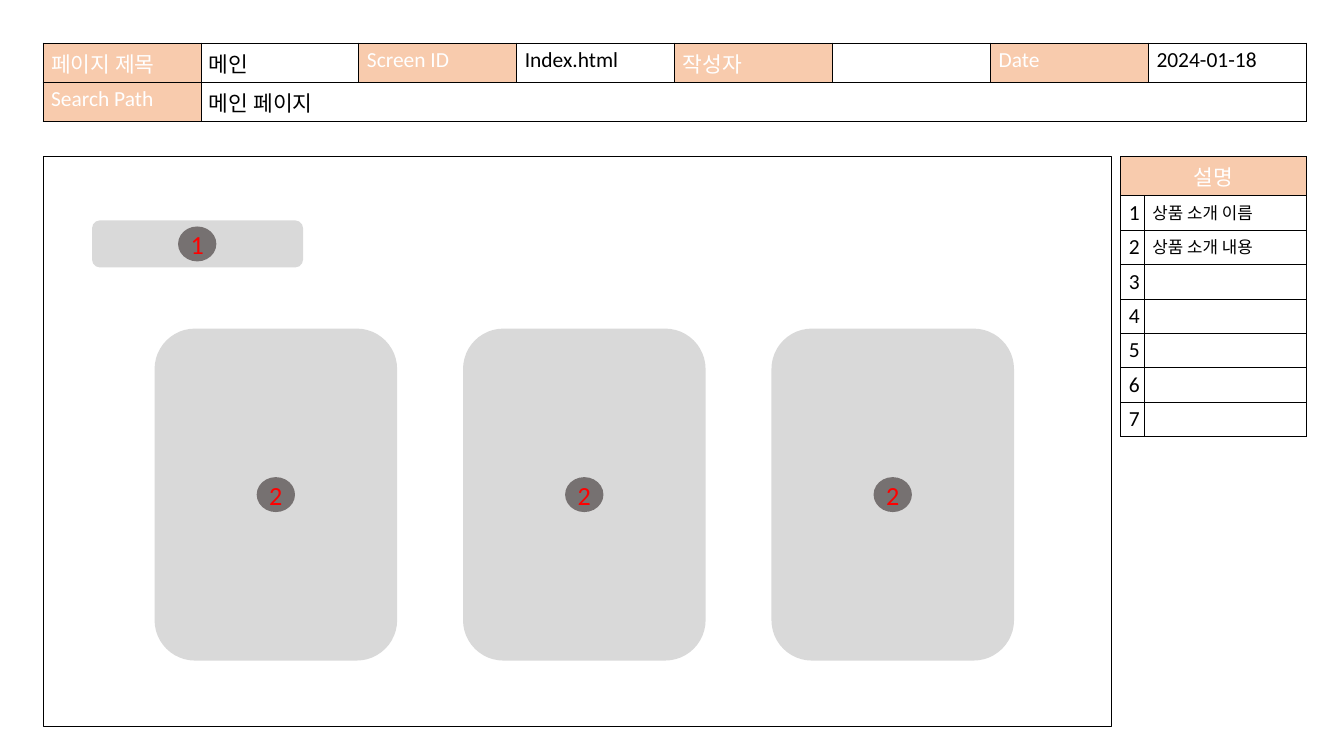
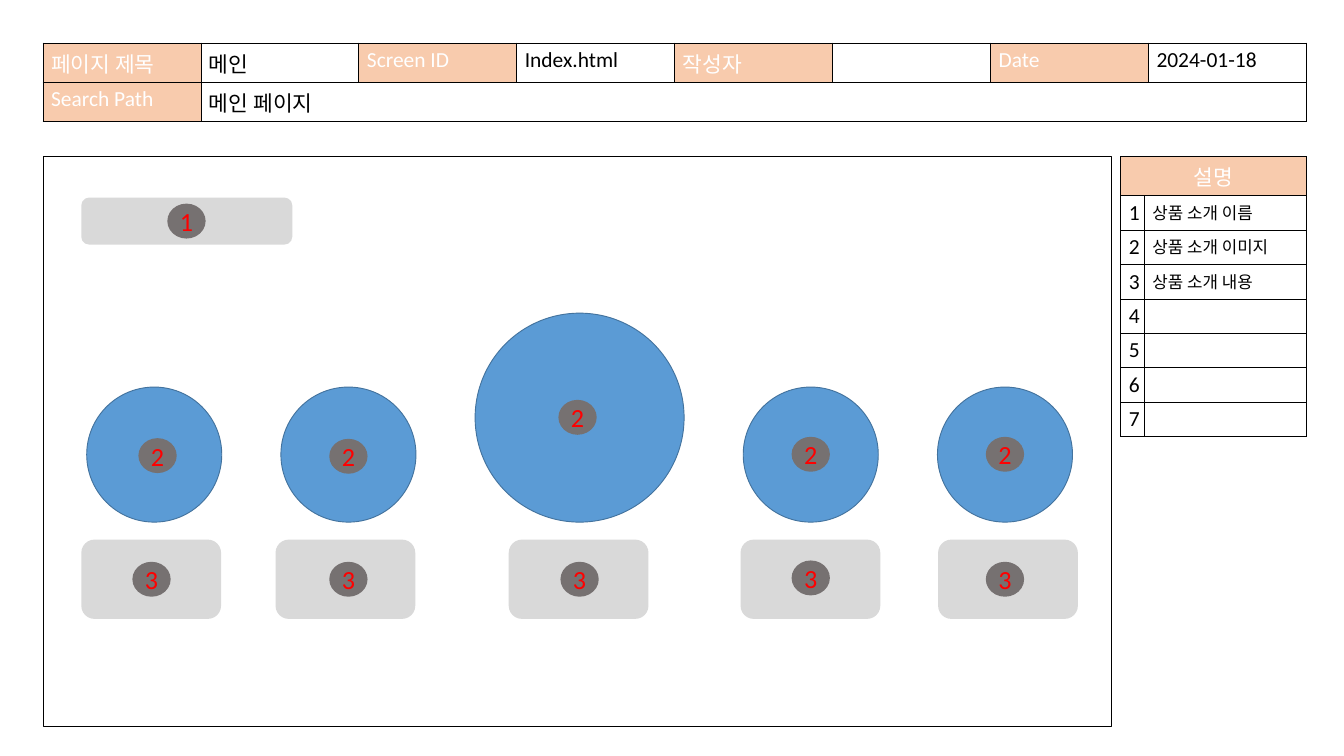
from dataclasses import dataclass

import pptx
import pptx.dml.color
import pptx.enum.shapes
import pptx.enum.text
import pptx.oxml
import pptx.oxml.ns
import pptx.util

PX = 9144  # 100 px to the inch
SHAPE = pptx.enum.shapes.MSO_SHAPE
ALIGN = pptx.enum.text.PP_ALIGN


@dataclass(frozen=True)
class Theme:
    font: str = "Calibri"
    accent: str = "F8CBAD"
    paper: str = "FFFFFF"
    ink: str = "000000"
    block: str = "D9D9D9"
    badge: str = "767171"
    badge_text: str = "FF0000"
    circle: str = "5B9BD5"
    circle_line: str = "43739E"
    table_size: int = 23
    note_size: int = 18
    badge_size: int = 28
    line: int = 1


THEME = Theme()


@dataclass(frozen=True)
class Box:
    left: int
    top: int
    width: int
    height: int

    def emu(self) -> list[int]:
        return [v * PX for v in (self.left, self.top, self.width, self.height)]


@dataclass(frozen=True)
class Marked:
    """A wireframe element with a numbered badge near its centre."""
    box: Box
    number: int
    is_circle: bool = False
    dx: int = 0
    dy: int = 0


@dataclass(frozen=True)
class Page:
    notes: list[str]
    elements: list[Marked]


FRAME = Box(64, 233, 1590, 848)
HEADER = Box(64, 64, 1880, 100)
NOTES = Box(1668, 233, 276, 400)
NOTE_COLUMNS = [35, 241]
NOTE_ROWS = 7
BADGE_W, BADGE_H = 57, 52
HEADER_FIELDS = [("페이지 제목", "메인"), ("Screen ID", "Index.html"),
                 ("작성자", ""), ("Date", "2024-01-18")]
SEARCH_PATH = ("Search Path", "메인 페이지")


def rgb(value: str) -> pptx.dml.color.RGBColor:
    return pptx.dml.color.RGBColor.from_string(value)


def add_text(p, text: str, size: int, color: str, align=ALIGN.LEFT) -> None:
    p.alignment = align
    r = p.add_run()
    r.text = text
    r.font.name = THEME.font
    r.font.size = pptx.util.Pt(size)
    r.font.color.rgb = rgb(color)


def add_shape(s, kind, box: Box, fill: str, line: str | None = None):
    sp = s.shapes.add_shape(kind, *box.emu())
    sp.shadow.inherit = False
    sp.fill.solid()
    sp.fill.fore_color.rgb = rgb(fill)
    if line:
        sp.line.color.rgb = rgb(line)
        sp.line.width = pptx.util.Pt(THEME.line)
    else:
        sp.line.fill.background()
    return sp


def add_borders(cell) -> None:
    tc_pr = cell._tc.get_or_add_tcPr()
    for i, side in enumerate("LRTB"):
        tc_pr.insert(i, pptx.oxml.parse_xml(
            f'<a:ln{side} {pptx.oxml.ns.nsdecls("a")} w="{THEME.line * 12700}">'
            f'<a:solidFill><a:srgbClr val="{THEME.ink}"/></a:solidFill></a:ln{side}>'))


def add_grid(s, box: Box, rows: int, widths: list[int]):
    """Add an unstyled table with thin borders and equal rows."""
    table = s.shapes.add_table(rows, len(widths), *box.emu()).table
    table.first_row = table.horz_banding = False
    for column, width in zip(table.columns, widths):
        column.width = width * PX
    for cell in table.iter_cells():
        cell.fill.background()
        cell.margin_left = cell.margin_right = 12 * PX
        cell.margin_top = cell.margin_bottom = 6 * PX
        add_borders(cell)
    return table


def fill_cell(cell, text: str, heading: bool = False,
              size: int = THEME.table_size, align=ALIGN.LEFT) -> None:
    if heading:
        cell.fill.solid()
        cell.fill.fore_color.rgb = rgb(THEME.accent)
    if text:
        color = THEME.paper if heading else THEME.ink
        add_text(cell.text_frame.paragraphs[0], text, size, color, align)


def add_header(s) -> None:
    count = 2 * len(HEADER_FIELDS)
    table = add_grid(s, HEADER, 2, [HEADER.width // count] * count)
    table.cell(1, 1).merge(table.cell(1, count - 1))
    for i, (label, value) in enumerate(HEADER_FIELDS):
        fill_cell(table.cell(0, 2 * i), label, heading=True)
        fill_cell(table.cell(0, 2 * i + 1), value)
    fill_cell(table.cell(1, 0), SEARCH_PATH[0], heading=True)
    fill_cell(table.cell(1, 1), SEARCH_PATH[1])


def add_notes(s, notes: list[str]) -> None:
    table = add_grid(s, NOTES, NOTE_ROWS + 1, NOTE_COLUMNS)
    table.cell(0, 0).merge(table.cell(0, 1))
    fill_cell(table.cell(0, 0), "설명", heading=True, align=ALIGN.CENTER)
    for row in range(1, NOTE_ROWS + 1):
        fill_cell(table.cell(row, 0), str(row), align=ALIGN.CENTER)
    for row, note in enumerate(notes, 1):
        fill_cell(table.cell(row, 1), note, size=THEME.note_size)


def add_marked(s, item: Marked) -> None:
    box = item.box
    if item.is_circle:
        add_shape(s, SHAPE.FLOWCHART_CONNECTOR, box, THEME.circle, THEME.circle_line)
    else:
        add_shape(s, SHAPE.FLOWCHART_ALTERNATE_PROCESS, box, THEME.block)
    badge = Box(box.left + (box.width - BADGE_W) // 2 + item.dx,
                box.top + (box.height - BADGE_H) // 2 + item.dy, BADGE_W, BADGE_H)
    tf = add_shape(s, SHAPE.FLOWCHART_CONNECTOR, badge, THEME.badge).text_frame
    tf.margin_left = tf.margin_right = tf.margin_top = tf.margin_bottom = 0
    tf.vertical_anchor = pptx.enum.text.MSO_ANCHOR.MIDDLE
    add_text(tf.paragraphs[0], str(item.number), THEME.badge_size,
             THEME.badge_text, ALIGN.CENTER)


def title_bar(left: int, top: int) -> Marked:
    return Marked(Box(left, top, 314, 70), 1)


def card(index: int) -> Marked:
    return Marked(Box(230 + 459 * index, 489, 361, 494), 2)


def product_image(left: int, size: int = 201, dx: int = 0, dy: int = 0) -> Marked:
    """A circle standing on the shared base line."""
    return Marked(Box(left, 777 - size, size, size), 2, True, dx, dy)


def product_text(left: int, dx: int = 0, dy: int = 0) -> Marked:
    return Marked(Box(left, 803, 208, 118), 3, False, dx, dy)


PAGES = [
    Page(["상품 소개 이름", "상품 소개 내용"],
         [title_bar(137, 328)] + [card(i) for i in range(3)]),
    Page(["상품 소개 이름", "상품 소개 이미지", "상품 소개 내용"],
         [title_bar(121, 294),
          product_image(129, dx=5, dy=2), product_image(418, dy=3),
          product_image(707, size=311, dx=-3), product_image(1106),
          product_image(1395),
          product_text(121, dx=1), product_text(410, dx=5),
          product_text(757, dx=2), product_text(1102, dx=1, dy=-2),
          product_text(1396, dx=-4)]),
]


def add_page(prs, page: Page) -> None:
    s = prs.slides.add_slide(prs.slide_layouts[6])
    add_shape(s, SHAPE.RECTANGLE, FRAME, THEME.paper, THEME.ink)
    add_header(s)
    add_notes(s, page.notes)
    for item in page.elements:
        add_marked(s, item)


def main() -> None:
    prs = pptx.Presentation()
    prs.slide_width, prs.slide_height = 2000 * PX, 1125 * PX
    for page in PAGES:
        add_page(prs, page)
    prs.save("out.pptx")


if __name__ == "__main__":
    main()
